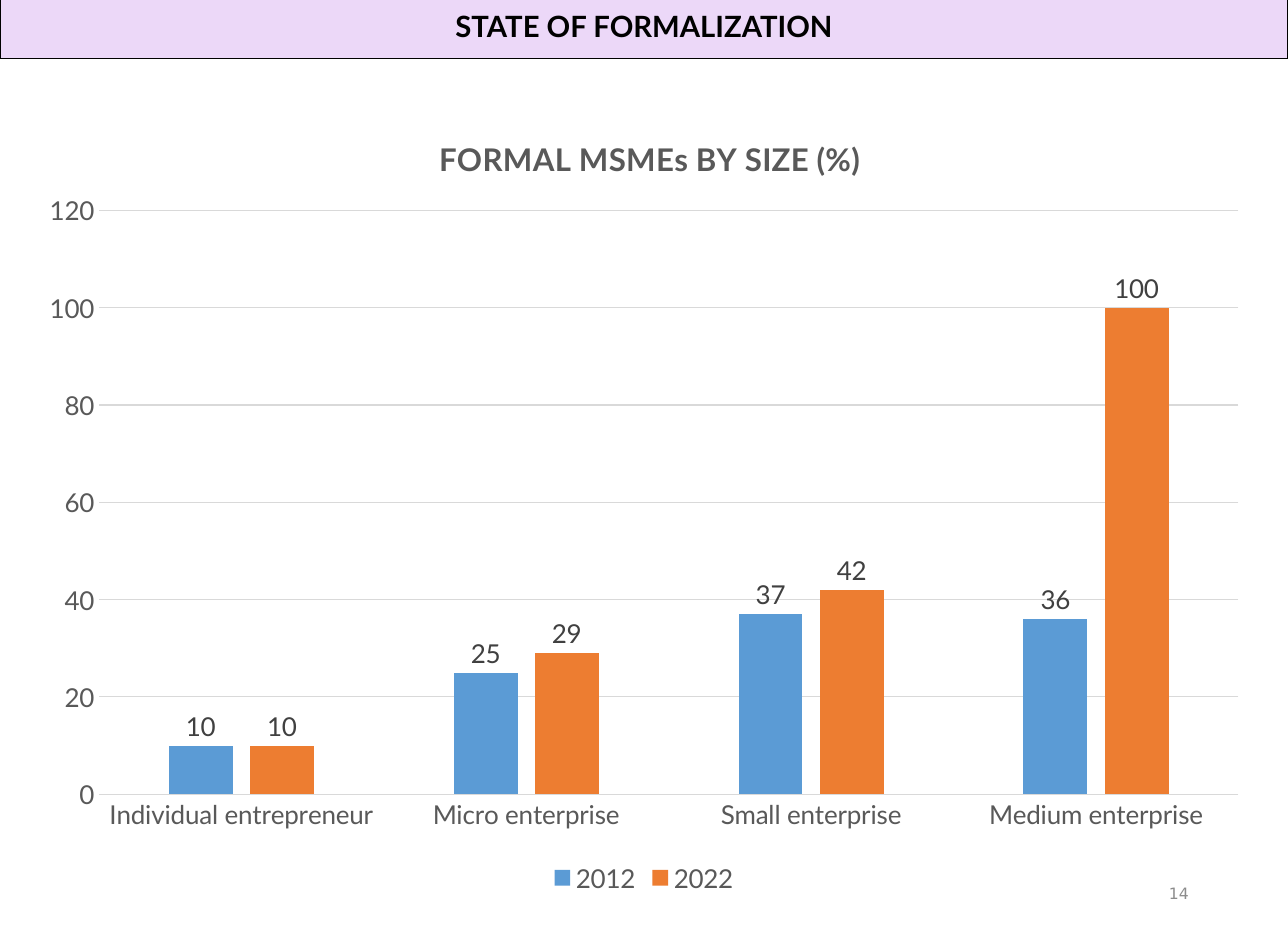
import pptx
import pptx.chart.data
import pptx.dml.color
import pptx.enum.chart
import pptx.enum.text
import pptx.oxml
import pptx.oxml.ns
import pptx.util

Pt = pptx.util.Pt
RGBColor = pptx.dml.color.RGBColor
BLACK = RGBColor(0x00, 0x00, 0x00)
LILAC = RGBColor(0xEC, 0xD8, 0xF8)
BLUE = RGBColor(0x5B, 0x9B, 0xD5)
ORANGE = RGBColor(0xED, 0x7D, 0x31)
DARK_GREY = RGBColor(0x40, 0x40, 0x40)
TEXT_GREY = RGBColor(0x59, 0x59, 0x59)
NUMBER_GREY = RGBColor(0x8C, 0x8C, 0x8C)
GRID_GREY = RGBColor(0xD9, 0xD9, 0xD9)


def set_font(font, size, color, name="Lato", bold=False):
    font.size = Pt(size)
    font.name = name
    font.bold = bold
    font.color.rgb = color


def set_layout(parent, index, **fractions):
    """Place a chart part by fractions of the chart area (x, y, w, h)."""
    for old in parent.findall(pptx.oxml.ns.qn("c:layout")):
        parent.remove(old)
    target = '<c:layoutTarget val="inner"/>' if "w" in fractions else ""
    modes = "".join(f'<c:{k}Mode val="edge"/>' for k in "xy")
    values = "".join(f'<c:{k} val="{v}"/>' for k, v in fractions.items())
    parent.insert(index, pptx.oxml.parse_xml(
        f'<c:layout {pptx.oxml.ns.nsdecls("c")}><c:manualLayout>'
        f'{target}{modes}{values}</c:manualLayout></c:layout>'))


prs = pptx.Presentation()
prs.slide_width = Pt(792)
prs.slide_height = Pt(576)
slide = prs.slides.add_slide(prs.slide_layouts[5])

# Title band
sp = slide.shapes.title
sp.left, sp.top, sp.width, sp.height = Pt(0), Pt(-1.44), Pt(792), Pt(37.44)
sp.fill.solid()
sp.fill.fore_color.rgb = LILAC
sp.line.color.rgb = BLACK
sp.line.width = Pt(0.75)
tf = sp.text_frame
tf.vertical_anchor = pptx.enum.text.MSO_ANCHOR.MIDDLE
p = tf.paragraphs[0]
p.alignment = pptx.enum.text.PP_ALIGN.CENTER
p.line_spacing = 0.9
r = p.add_run()
r.text = "STATE OF FORMALIZATION"
set_font(r.font, 18, BLACK, bold=True)

# Slide number
sp = slide.shapes.add_textbox(Pt(559.44), Pt(533.52), Pt(178.56), Pt(30.96))
tf = sp.text_frame
tf.word_wrap = True
tf.vertical_anchor = pptx.enum.text.MSO_ANCHOR.MIDDLE
p = tf.paragraphs[0]
p.alignment = pptx.enum.text.PP_ALIGN.RIGHT
r = p.add_run()
r.text = "14"
set_font(r.font, 9.6, NUMBER_GREY, "DejaVu Sans")

# Chart
data = pptx.chart.data.CategoryChartData()
data.categories = ["Individual entrepreneur", "Micro enterprise",
                   "Small enterprise", "Medium enterprise"]
data.add_series("2012", [10, 25, 37, 36])
data.add_series("2022", [10, 29, 42, 100])
chart = slide.shapes.add_chart(
    pptx.enum.chart.XL_CHART_TYPE.COLUMN_CLUSTERED,
    Pt(15.12), Pt(60.48), Pt(761.76), Pt(491.76), data).chart
set_font(chart.font, 16, BLACK)

chart.has_title = True
p = chart.chart_title.text_frame.paragraphs[0]
r = p.add_run()
r.text = "FORMAL MSMEs BY SIZE (%)"
set_font(r.font, 19.2, TEXT_GREY, bold=True)
chart.chart_title.include_in_layout = False
set_layout(chart.chart_title._element, 1, x=0.33, y=0.04)
set_layout(chart._chartSpace.chart.plotArea, 0, x=0.06, y=0.14, w=0.92, h=0.73)

chart.has_legend = True
chart.legend.position = pptx.enum.chart.XL_LEGEND_POSITION.BOTTOM
chart.legend.include_in_layout = False
set_font(chart.legend.font, 16, TEXT_GREY)

for axis in (chart.category_axis, chart.value_axis):
    axis.major_tick_mark = pptx.enum.chart.XL_TICK_MARK.NONE
    axis.minor_tick_mark = pptx.enum.chart.XL_TICK_MARK.NONE
    set_font(axis.tick_labels.font, 16, TEXT_GREY)
chart.value_axis.format.line.fill.background()
chart.value_axis.minimum_scale = 0
chart.value_axis.maximum_scale = 120
chart.value_axis.major_unit = 20
chart.value_axis.has_major_gridlines = True
for line in (chart.category_axis.format.line,
             chart.value_axis.major_gridlines.format.line):
    line.color.rgb = GRID_GREY
    line.width = Pt(0.75)

plot = chart.plots[0]
plot.gap_width = 219
plot.overlap = -27
plot.vary_by_categories = False
for series, color in zip(plot.series, (BLUE, ORANGE)):
    series.format.fill.solid()
    series.format.fill.fore_color.rgb = color
    labels = series.data_labels
    labels.show_value = True
    labels.position = pptx.enum.chart.XL_LABEL_POSITION.OUTSIDE_END
    set_font(labels.font, 16, DARK_GREY)

prs.save("out.pptx")
